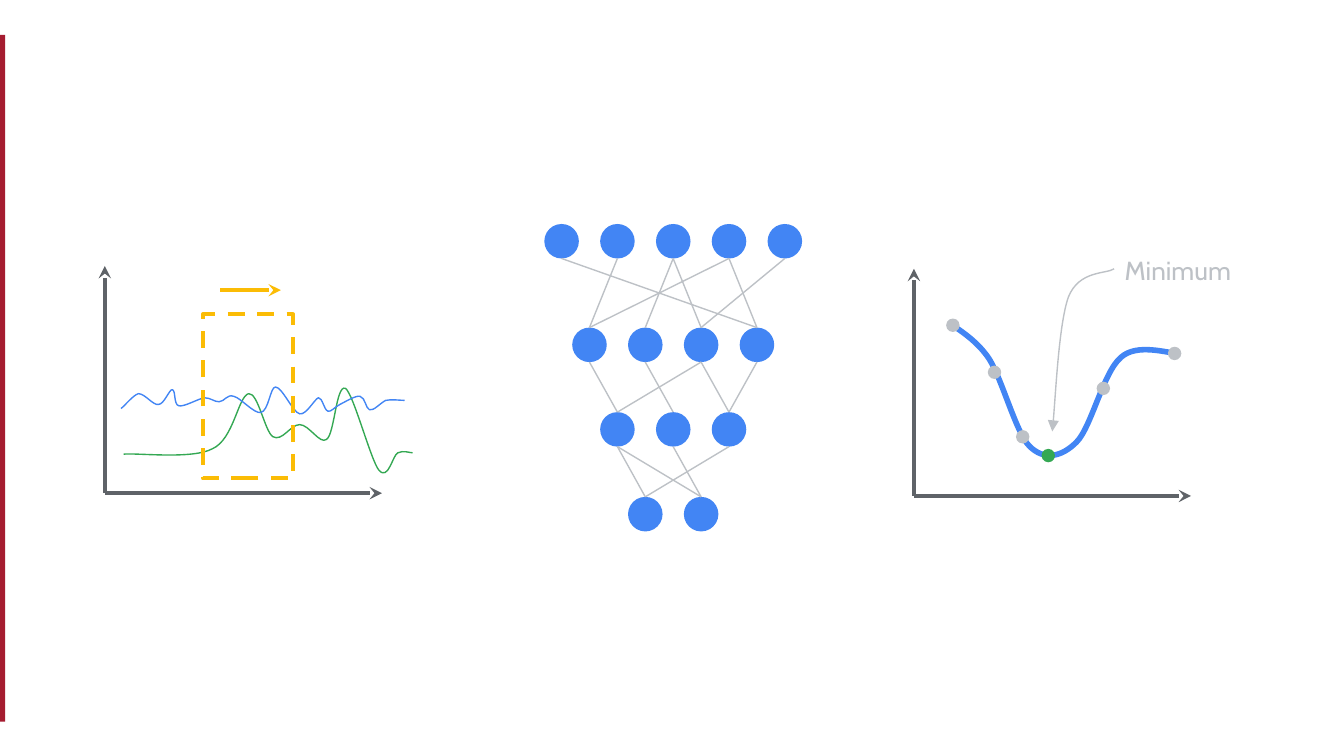
from dataclasses import dataclass

from lxml.etree import SubElement
from pptx import Presentation
from pptx.dml.color import RGBColor
from pptx.enum.dml import MSO_LINE_DASH_STYLE as Dash
from pptx.enum.shapes import MSO_CONNECTOR as Connector, MSO_SHAPE as Preset
from pptx.oxml.ns import qn
from pptx.util import Pt


@dataclass(frozen=True)
class Theme:
    crimson: str = "A51C30"
    axis: str = "5F6368"
    grey: str = "BDC1C6"
    blue: str = "4285F4"
    green: str = "34A853"
    yellow: str = "FBBC05"
    font: str = "Cabin"
    label_size: float = 14
    thin: float = 0.75
    heavy: float = 2.25
    curve: float = 3


THEME = Theme()

# Plot coordinates: x to the right of the origin, y above the horizontal axis.
# A curve is its start, then two control points and an end for each segment.
PLOT_UNIT = 0.72
GREEN_SERIES = [
    (14, 29), (25, 30), (65, 25), (80, 33), (96, 40), (99, 72), (107, 74),
    (114, 75), (119, 46), (125, 42), (132, 38), (138, 51), (145, 51),
    (152, 51), (160, 36), (165, 40), (171, 44), (172, 81), (179, 78),
    (185, 74), (198, 24), (204, 17), (211, 9), (214, 28), (218, 30),
    (222, 32), (227, 30), (229, 30)]
BLUE_SERIES = [
    (12, 63), (14, 64), (21, 73), (25, 74), (30, 74), (36, 65), (40, 66),
    (44, 66), (48, 77), (50, 77), (53, 77), (51, 66), (55, 65),
    (59, 64), (69, 70), (74, 71), (79, 71), (81, 68), (85, 68),
    (89, 68), (91, 74), (96, 72), (101, 71), (111, 59), (116, 60),
    (122, 61), (123, 79), (127, 79), (132, 79), (140, 60), (145, 59),
    (150, 58), (156, 70), (159, 71), (162, 71), (163, 62), (166, 61),
    (168, 60), (171, 64), (175, 66), (179, 68), (187, 73), (190, 72),
    (194, 71), (194, 63), (197, 62), (200, 61), (205, 67), (209, 69),
    (213, 70), (220, 69), (223, 69)]
LOSS_CURVE = [
    (26, 129), (31, 125), (46, 117), (56, 102), (66, 86), (76, 47), (86, 37),
    (97, 26), (110, 29), (121, 40), (132, 51), (141, 92), (154, 103),
    (166, 114), (189, 106), (197, 106)]
LOSS_STEPS = [(29, 127), (60, 92), (81, 44), (100, 30), (141, 80), (194, 106)]
LOSS_MINIMUM = (100, 30)
POINTER = [(103, 48), (105, 65), (108, 128), (115, 148),
           (123, 168), (143, 165), (149, 169)]

LAYER_SIZES = [5, 4, 3, 2]
LAYER_TOPS = [0, 55.5, 100.8, 146.2]
LAYER_LINKS = [
    [(0, 3), (1, 0), (2, 1), (2, 2), (3, 0), (3, 3), (4, 2)],
    [(0, 0), (1, 1), (2, 0), (2, 2), (3, 2)],
    [(0, 0), (0, 1), (1, 1), (2, 0)]]


def style_line(shape, color, width):
    shape.line.color.rgb = RGBColor.from_string(color)
    shape.line.width = Pt(width)


def add_arrowhead(shape, end, kind):
    """Put an arrowhead at "headEnd" (the start) or "tailEnd"."""
    outline = shape._element.spPr.find(qn("a:ln"))
    SubElement(outline, qn(f"a:{end}"), type=kind)


def add_dot(shapes, left, top, size, color):
    dot = shapes.add_shape(Preset.OVAL, Pt(left), Pt(top), Pt(size), Pt(size))
    dot.shadow.inherit = False
    dot.fill.solid()
    dot.fill.fore_color.rgb = RGBColor.from_string(color)
    dot.line.fill.background()


def add_line(shapes, start, end, color, width, arrow=False):
    line = shapes.add_connector(
        Connector.STRAIGHT, *(Pt(value) for value in (*start, *end)))
    style_line(line, color, width)
    if arrow:
        add_arrowhead(line, "tailEnd", "stealth")
    SubElement(line._element.spPr, qn("a:effectLst"))


def add_curve(shapes, points, color, width):
    """Draw a Bézier curve from its start and groups of three points."""
    corners = [(Pt(x), Pt(y)) for x, y in points]
    builder = shapes.build_freeform(*corners[0])
    builder.add_line_segments(corners[1:], close=False)
    curve = builder.convert_to_shape()
    outline = next(curve._element.iter(qn("a:path")))
    segments = outline.findall(qn("a:lnTo"))
    for first in range(0, len(segments), 3):
        bezier = SubElement(outline, qn("a:cubicBezTo"))
        for segment in segments[first:first + 3]:
            bezier.append(segment[0])
            outline.remove(segment)
    curve.shadow.inherit = False
    curve.fill.background()
    style_line(curve, color, width)
    return curve


def add_axes(shapes, left, top, width, height):
    """Draw both axes and return the function that places plot points."""
    bottom = top + height
    for tip in ((left + width, bottom), (left, top)):
        add_line(shapes, (left, bottom), tip, THEME.axis, THEME.heavy, True)
    return lambda x, y: (left + PLOT_UNIT * x, bottom - PLOT_UNIT * y)


def add_window_plot(slide, left, top, width, height):
    shapes = slide.shapes
    place = add_axes(shapes, left, top, width, height)
    for series, color in ((GREEN_SERIES, THEME.green),
                          (BLUE_SERIES, THEME.blue)):
        add_curve(shapes, [place(*point) for point in series],
                  color, THEME.thin)
    window_left, window_top = place(73, 133)
    window = shapes.add_shape(Preset.RECTANGLE, Pt(window_left),
                              Pt(window_top), Pt(48.24), Pt(87.84))
    window.shadow.inherit = False
    window.fill.background()
    style_line(window, THEME.yellow, THEME.heavy)
    window.line.dash_style = Dash.DASH
    add_line(shapes, place(86, 151), place(131, 151),
             THEME.yellow, THEME.heavy, True)


def add_network(slide, left, top, width, node=18.5):
    group = slide.shapes.add_group_shape()
    step = (width - node) / (max(LAYER_SIZES) - 1)
    layers = []
    for size, offset in zip(LAYER_SIZES, LAYER_TOPS):
        first = left + (width - node - (size - 1) * step) / 2
        layers.append([(first + i * step, top + offset) for i in range(size)])
    for node_left, node_top in sum(layers, []):
        add_dot(group.shapes, node_left, node_top, node, THEME.blue)
    for upper, lower, links in zip(layers, layers[1:], LAYER_LINKS):
        for source, target in links:
            start_left, start_top = upper[source]
            end_left, end_top = lower[target]
            add_line(group.shapes, (start_left + node / 2, start_top + node),
                     (end_left + node / 2, end_top), THEME.grey, THEME.thin)


def add_minimum_plot(slide, left, top, width, height, dot=7.2):
    shapes = slide.shapes
    place = add_axes(shapes, left, top, width, height)
    add_curve(shapes, [place(*point) for point in LOSS_CURVE],
              THEME.blue, THEME.curve)
    for step in LOSS_STEPS:
        x, y = place(*step)
        color = THEME.green if step == LOSS_MINIMUM else THEME.grey
        add_dot(shapes, x - dot / 2, y - dot / 2, dot, color)
    pointer = add_curve(shapes, [place(*point) for point in POINTER],
                        THEME.grey, THEME.thin)
    add_arrowhead(pointer, "headEnd", "triangle")

    label_left, label_top = place(147, 190)
    label = shapes.add_textbox(Pt(label_left), Pt(label_top),
                               Pt(73.44), Pt(30.24))
    frame = label.text_frame
    frame.word_wrap = True
    frame.margin_left = frame.margin_right = Pt(7.2)
    frame.margin_top = frame.margin_bottom = Pt(7.2)
    run = frame.paragraphs[0].add_run()
    run.text = "Minimum"
    run.font.name = THEME.font
    run.font.size = Pt(THEME.label_size)
    run.font.color.rgb = RGBColor.from_string(THEME.grey)


def add_side_bar(slide, left, top, width, height):
    bar = slide.shapes.add_shape(Preset.RECTANGLE, Pt(left), Pt(top),
                                 Pt(width), Pt(height))
    bar.shadow.inherit = False
    bar.fill.solid()
    bar.fill.fore_color.rgb = RGBColor.from_string(THEME.crimson)
    bar.line.fill.background()


def main():
    presentation = Presentation()
    presentation.slide_width, presentation.slide_height = Pt(720), Pt(405)
    slide = presentation.slides.add_slide(presentation.slide_layouts[6])
    add_side_bar(slide, -1.44, 18.72, 4.32, 367.92)
    add_minimum_plot(slide, 489.6, 144, 148.5, 121.7)
    add_window_plot(slide, 56.16, 142.5, 148.5, 121.7)
    add_network(slide, 291.6, 120, 138.1)
    presentation.save("out.pptx")


if __name__ == "__main__":
    main()
